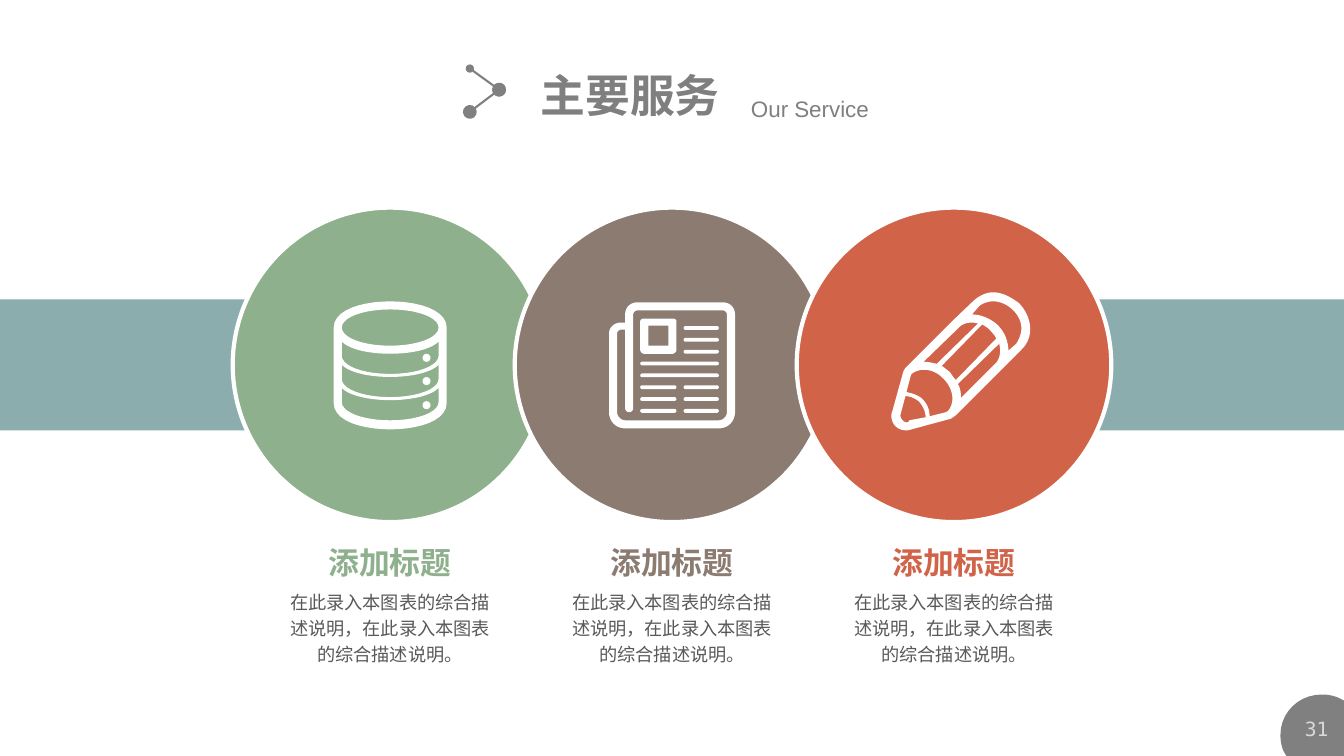
from dataclasses import dataclass, field
from typing import Any, Iterator

from lxml import etree
from pptx import Presentation
from pptx import util as u
from pptx.dml.color import RGBColor
from pptx.enum import shapes, text
from pptx.oxml import ns

COLUMNS, ROWS = 1333, 750
CELL = u.Inches(0.01)
CURVE_STEPS = 10


@dataclass(frozen=True)
class Theme:
    white: str = "FFFFFF"
    band: str = "8CADAE"
    corner: str = "808080"
    title: str = "7F7F7F"
    body: str = "595959"
    page_number: str = "D9D9D9"
    latin: str = "Arial"
    cjk: str = "Noto Sans CJK SC"
    mono: str = "DejaVu Sans Mono"
    sizes: dict[str, int] = field(default_factory=lambda: {
        "title": 32, "heading": 22, "subtitle": 16, "number": 14, "body": 13})


@dataclass(frozen=True)
class Area:
    left: float
    top: float
    width: float
    height: float

    def emu(self) -> list[int]:
        return [round(n * CELL) for n in (self.left, self.top, self.width, self.height)]


@dataclass(frozen=True)
class Style:
    size: int
    color: str
    font: str
    bold: bool = False
    align: Any = text.PP_ALIGN.LEFT
    wrap: bool = True
    spacing: float = 1.0
    insets: tuple[int, int] = (10, 5)


@dataclass(frozen=True)
class Service:
    heading: str
    description: str
    color: str


THEME = Theme()
CENTER, LEFT = text.PP_ALIGN.CENTER, text.PP_ALIGN.LEFT
DESCRIPTION = "在此录入本图表的综合描述说明，在此录入本图表的综合描述说明。"
SERVICES = [Service("添加标题", DESCRIPTION, color)
            for color in ("8FB08C", "8C7B70", "D16349")]
SERVICE_PITCH, CIRCLE = 279.7, 312

# In an outline, two numbers are a straight segment and six are a curve.
CORNER = ["1311,689 1317,689,1322,690,1327,692 1333,695 1333,750 1276,750 "
          "1273,745 1271,740,1270,735,1270,729 1270,707,1288,689,1311,689"]
BARREL = [
    "387,299 360,299,331,307,331,325 331,400 331,418,360,426,387,426 "
    "414,426,443,418,443,400 443,325 443,307,414,299,387,299",
    "387,343 360,343,339,335,339,325 339,315,360,307,387,307 "
    "414,307,435,315,435,325 435,335,414,343,387,343",
] + [
    f"435,{y + 14} 435,{y + 24},414,{y + 32},387,{y + 32} "
    f"360,{y + 32},339,{y + 24},339,{y + 14} 339,{y} "
    f"347,{y + 8},367,{y + 12},387,{y + 12} 407,{y + 12},427,{y + 8},435,{y}"
    for y in (339, 362, 385)
]
NEWSPAPER = [
    "717,300 632,300 625,300,620,305,620,312 620,320 616,320 609,320,604,325,604,331 "
    "604,409 604,418,611,425,620,425 713,425 722,425,729,418,729,409 "
    "729,312 729,305,724,300,717,300",
    "721,409 721,413,717,417,713,417 620,417 616,417,612,413,612,409 "
    "612,331 612,329,614,327,616,327 620,327 620,405 620,407,622,409,624,409 "
    "626,409,628,407,628,405 628,312 628,310,630,308,632,308 717,308 "
    "719,308,721,310,721,312",
]
PHOTO = [
    "639,351 667,351 669,351,671,349,671,347 671,319 671,317,669,316,667,316 "
    "639,316 637,316,635,317,635,319 635,347 635,349,637,351,639,351",
    "643,323 663,323 663,343 643,343",
]
PENCIL = [
    "1011,301 1003,295,994,290,985,290 978,290,970,294,965,299 944,319 899,364 "
    "897,366,896,368,895,372 885,408 885,408,884,411,884,412 884,421,890,427,899,427 "
    "901,427,904,426,904,426 941,416 943,416,945,414,948,412 1013,347 "
    "1026,335,1024,315,1011,301",
    "953,392 953,389,952,384,950,381 991,341 993,348,992,357,986,362 953,395",
    "948,377 946,375,944,372,942,369 939,367,937,365,934,363 974,322 "
    "978,324,981,326,983,329 985,331,987,333,988,336",
    "929,361 925,360,921,359,916,359 950,326 955,320,963,319,970,321",
    "902,417 901,419,900,419,899,419 896,419,893,415,893,412 898,393 "
    "902,393,908,395,912,399 916,404,918,409,918,414",
    "922,413 922,407,920,401,915,396 911,392,904,390,899,389 903,374 "
    "903,373,904,372,904,371 913,364,927,366,936,376 945,385,948,399,940,408 "
    "939,408,939,409,938,409",
    "1008,341 1000,348 1000,347,1000,346,1000,345 999,336,996,329,989,322 "
    "982,316,973,312,964,312 971,304 974,301,980,299,985,299 "
    "992,299,999,302,1005,308 1010,313,1013,319,1013,326 1013,331,1011,336,1008,341",
]


def trace(outline: str) -> Iterator[tuple[float, float]]:
    """Yield the points of an outline in EMU, with its curves flattened."""
    last = (0.0, 0.0)
    for segment in outline.split():
        numbers = [float(n) * CELL for n in segment.split(",")]
        points = [last, *zip(numbers[::2], numbers[1::2])]
        if len(points) == 4:
            for step in range(1, CURVE_STEPS):
                t = step / CURVE_STEPS
                weights = ((1 - t) ** 3, 3 * t * (1 - t) ** 2, 3 * t * t * (1 - t), t ** 3)
                yield (sum(w * x for w, (x, _) in zip(weights, points)),
                       sum(w * y for w, (_, y) in zip(weights, points)))
        last = points[-1]
        yield last


def paint(shape: Any, color: str, border: float = 0) -> None:
    shape.shadow.inherit = False
    shape.fill.solid()
    shape.fill.fore_color.rgb = RGBColor.from_string(color)
    if border:
        shape.line.color.rgb = RGBColor.from_string(THEME.white)
        shape.line.width = u.Pt(border)
    else:
        shape.line.fill.background()


def add_outline(parent: Any, outlines: list[str], color: str = THEME.white) -> None:
    builder = None
    for outline in outlines:
        start, *rest = trace(outline)
        if builder is None:
            builder = parent.build_freeform(*start, scale=1.0)
        else:
            builder.move_to(*start)
        builder.add_line_segments(rest, close=True)
    paint(builder.convert_to_shape(), color)


def add_preset(parent: Any, kind: Any, area: Area, color: str, border: float = 0) -> Any:
    shape = parent.add_shape(kind, *area.emu())
    paint(shape, color, border)
    return shape


def write(box: Any, words: str, style: Style) -> None:
    frame, (side, edge) = box.text_frame, style.insets
    frame.text = words
    para = frame.paragraphs[0]
    span = para.runs[0]
    formats = {
        frame: dict(word_wrap=style.wrap, auto_size=text.MSO_AUTO_SIZE.NONE,
                    vertical_anchor=text.MSO_ANCHOR.TOP,
                    margin_left=side * CELL, margin_right=side * CELL,
                    margin_top=edge * CELL, margin_bottom=edge * CELL),
        para: dict(alignment=style.align, line_spacing=style.spacing),
        span.font: dict(size=u.Pt(style.size), bold=style.bold, name=style.font),
    }
    for target, values in formats.items():
        for name, value in values.items():
            setattr(target, name, value)
    span.font.color.rgb = RGBColor.from_string(style.color)
    etree.SubElement(span.font._element, ns.qn("a:ea"), typeface=THEME.cjk)


def add_text(page: Any, area: Area, words: str, style: Style) -> None:
    write(page.shapes.add_textbox(*area.emu()), words, style)


def add_title(page: Any) -> None:
    title = page.shapes.title
    title.left, title.top, title.width, title.height = Area(526, 62, 200, 64).emu()
    sizes = THEME.sizes
    write(title, "主要服务", Style(sizes["title"], THEME.title, THEME.latin, True, wrap=False))
    add_text(page, Area(735, 89, 252, 37), "Our Service",
             Style(sizes["subtitle"], THEME.title, THEME.latin))
    mark = page.shapes.add_group_shape().shapes
    for start, end, head in (((466, 68), (495, 89), "med"), ((495, 89), (466, 111), "lg")):
        link = mark.add_connector(shapes.MSO_CONNECTOR.STRAIGHT,
                                  *(n * CELL for n in start + end))
        link.line.color.rgb = RGBColor.from_string(THEME.corner)
        link.line.width = u.Pt(1.5)
        for tag, size in (("a:headEnd", head), ("a:tailEnd", "lg")):
            etree.SubElement(link.line._get_or_add_ln(), ns.qn(tag), type="oval", w=size, len=size)
        etree.SubElement(link._element.spPr, ns.qn("a:effectLst"))


def add_service(page: Any, service: Service, center: float) -> None:
    sizes = THEME.sizes
    add_preset(page.shapes, shapes.MSO_SHAPE.OVAL,
               Area(center - CIRCLE / 2, 206, CIRCLE, CIRCLE), service.color, 3)
    add_text(page, Area(center - 72, 534, 144, 47), service.heading,
             Style(sizes["heading"], service.color, THEME.cjk, True, CENTER, wrap=False))
    add_text(page, Area(center - 116, 577, 232, 87), service.description,
             Style(sizes["body"], THEME.body, THEME.cjk, align=CENTER, spacing=1.2))


def add_icons(page: Any) -> None:
    database = page.shapes.add_group_shape().shapes
    add_outline(database, BARREL)
    for top in (351, 374, 398):
        add_preset(database, shapes.MSO_SHAPE.OVAL, Area(419, top, 8, 8), THEME.white)
    news = page.shapes.add_group_shape().shapes
    add_outline(news, NEWSPAPER)
    add_outline(news, PHOTO)
    left, right, full = (635, 36), (678, 35), (635, 78)
    for row, spans in enumerate([[right]] * 3 + [[full]] * 2 + [[left, right]] * 3):
        for start, width in spans:
            line = add_preset(news, shapes.MSO_SHAPE.ROUNDED_RECTANGLE,
                              Area(start, 323.5 + 11.75 * row, width, 3.75), THEME.white)
            line.adjustments[0] = 0.5
    add_outline(page.shapes, PENCIL)


def main() -> None:
    deck = Presentation()
    deck.slide_width, deck.slide_height = COLUMNS * CELL, ROWS * CELL
    page = deck.slides.add_slide(deck.slide_layouts.get_by_name("Title Only"))
    add_outline(page.shapes, CORNER, THEME.corner)
    add_text(page, Area(1281, 707, 50, 31), "31", Style(
        THEME.sizes["number"], THEME.page_number, THEME.mono, align=CENTER, insets=(7, 4)))
    add_title(page)
    for left in (COLUMNS - 342, 0):
        add_preset(page.shapes, shapes.MSO_SHAPE.RECTANGLE, Area(left, 297, 342, 130), THEME.band)
    for index, service in enumerate(SERVICES):
        add_service(page, service, COLUMNS / 2 + (index - 1) * SERVICE_PITCH)
    add_icons(page)
    deck.save("out.pptx")


if __name__ == "__main__":
    main()
